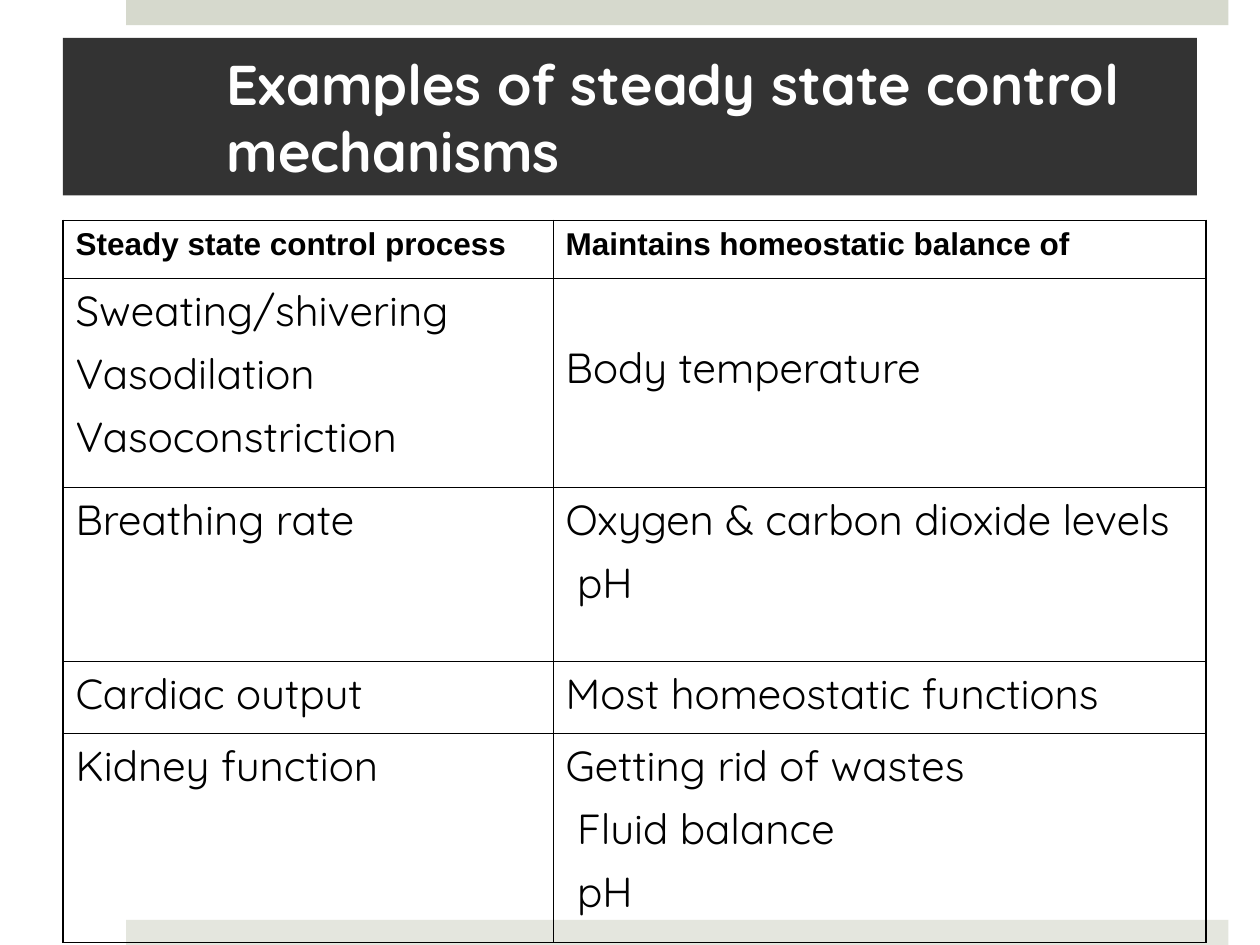
from lxml.etree import SubElement
from pptx import Presentation
from pptx.dml.color import RGBColor
from pptx.enum.shapes import MSO_SHAPE
from pptx.enum.text import MSO_ANCHOR, PP_ALIGN
from pptx.oxml.ns import qn
from pptx.util import Inches, Pt

COLORS = {"top_band": "D6D9CD", "bottom_band": "E4E6DE", "title_bar": "333333",
          "title": "FFFFFF", "ink": "000000"}
COLUMN_WIDTHS = (3.89, 5.18)
ROW_HEIGHTS = (0.46, 1.66, 1.38, 0.57, 1.66)
HEADINGS = ("Steady state control process", "Maintains homeostatic balance of")
PROCESSES = (
    (("Sweating/shivering", "Vasodilation", "Vasoconstriction"), ("Body temperature",)),
    (("Breathing rate",), ("Oxygen & carbon dioxide levels", "pH")),
    (("Cardiac output",), ("Most homeostatic functions",)),
    (("Kidney function",), ("Getting rid of wastes", "Fluid balance", "pH")),
)
OUTER_LINE, INNER_LINE = Pt(1.08), Pt(0.45)


def rgb(name):
    return RGBColor.from_string(COLORS[name])


def style_font(font, name, size, color, bold=False):
    font.name, font.size, font.bold = name, Pt(size), bold
    font.color.rgb = rgb(color)


def add_bar(slide, box, color):
    bar = slide.shapes.add_shape(MSO_SHAPE.RECTANGLE, *map(Inches, box))
    bar.shadow.inherit = False
    bar.fill.solid()
    bar.fill.fore_color.rgb = rgb(color)
    bar.line.fill.background()
    return bar


def add_title(slide, box, text):
    frame = add_bar(slide, box, "title_bar").text_frame
    frame.word_wrap = True
    frame.vertical_anchor = MSO_ANCHOR.MIDDLE
    frame.margin_left, frame.margin_right = Inches(1.3), Inches(0.3)
    frame.text = text
    frame.paragraphs[0].alignment = PP_ALIGN.LEFT
    style_font(frame.paragraphs[0].runs[0].font, "Quicksand", 32, "title", True)


def set_borders(cell, widths):
    """Draw the cell's edges; widths maps L, R, T and B to line widths."""
    properties = cell._tc.get_or_add_tcPr()
    for side, width in widths.items():
        line = SubElement(properties, qn(f"a:ln{side}"), w=str(width))
        SubElement(SubElement(line, qn("a:solidFill")), qn("a:srgbClr"), val=COLORS["ink"])


def fill_cell(cell, lines, heading):
    cell.text_frame.text = "\n".join(lines)
    for index, paragraph in enumerate(cell.text_frame.paragraphs):
        if index:
            paragraph.space_before = Pt(6)
        name, size = ("Arial", 18) if heading else ("Quicksand", 24)
        style_font(paragraph.runs[0].font, name, size, "ink", heading)


def indent_following(cell):
    """Set the lines after the first slightly to the right."""
    for paragraph in cell.text_frame.paragraphs[1:]:
        paragraph._p.get_or_add_pPr().set("marL", str(Inches(0.09)))


def add_process_table(slide, left, top):
    rows = [[(heading,) for heading in HEADINGS], *PROCESSES]
    table = slide.shapes.add_table(
        len(rows), len(HEADINGS), Inches(left), Inches(top),
        Inches(sum(COLUMN_WIDTHS)), Inches(sum(ROW_HEIGHTS))).table
    table.first_row = table.horz_banding = False
    for column, width in zip(table.columns, COLUMN_WIDTHS):
        column.width = Inches(width)
    last_row, last_column = len(rows) - 1, len(HEADINGS) - 1
    for r, (row, height) in enumerate(zip(rows, ROW_HEIGHTS)):
        table.rows[r].height = Inches(height)
        for c, lines in enumerate(row):
            cell = table.cell(r, c)
            fill_cell(cell, lines, heading=r == 0)
            edges = {"L": c == 0, "R": c == last_column, "T": r == 0, "B": r == last_row}
            set_borders(cell, {side: OUTER_LINE if outer else INNER_LINE
                               for side, outer in edges.items()})
            cell.fill.background()
        indent_following(table.cell(r, last_column))
    table.cell(1, last_column).margin_top = Inches(0.5)


def main():
    deck = Presentation()
    deck.slide_width, deck.slide_height = Inches(10), Inches(7.5)
    slide = deck.slides.add_slide(deck.slide_layouts[6])
    add_bar(slide, (1, 0, 8.75, 0.2), "top_band")
    add_bar(slide, (1, 7.3, 8.75, 0.2), "bottom_band")
    add_title(slide, (0.5, 0.3, 9, 1.25), "Examples of steady state control mechanisms")
    add_process_table(slide, 0.5, 1.75)
    deck.save("out.pptx")


if __name__ == "__main__":
    main()
